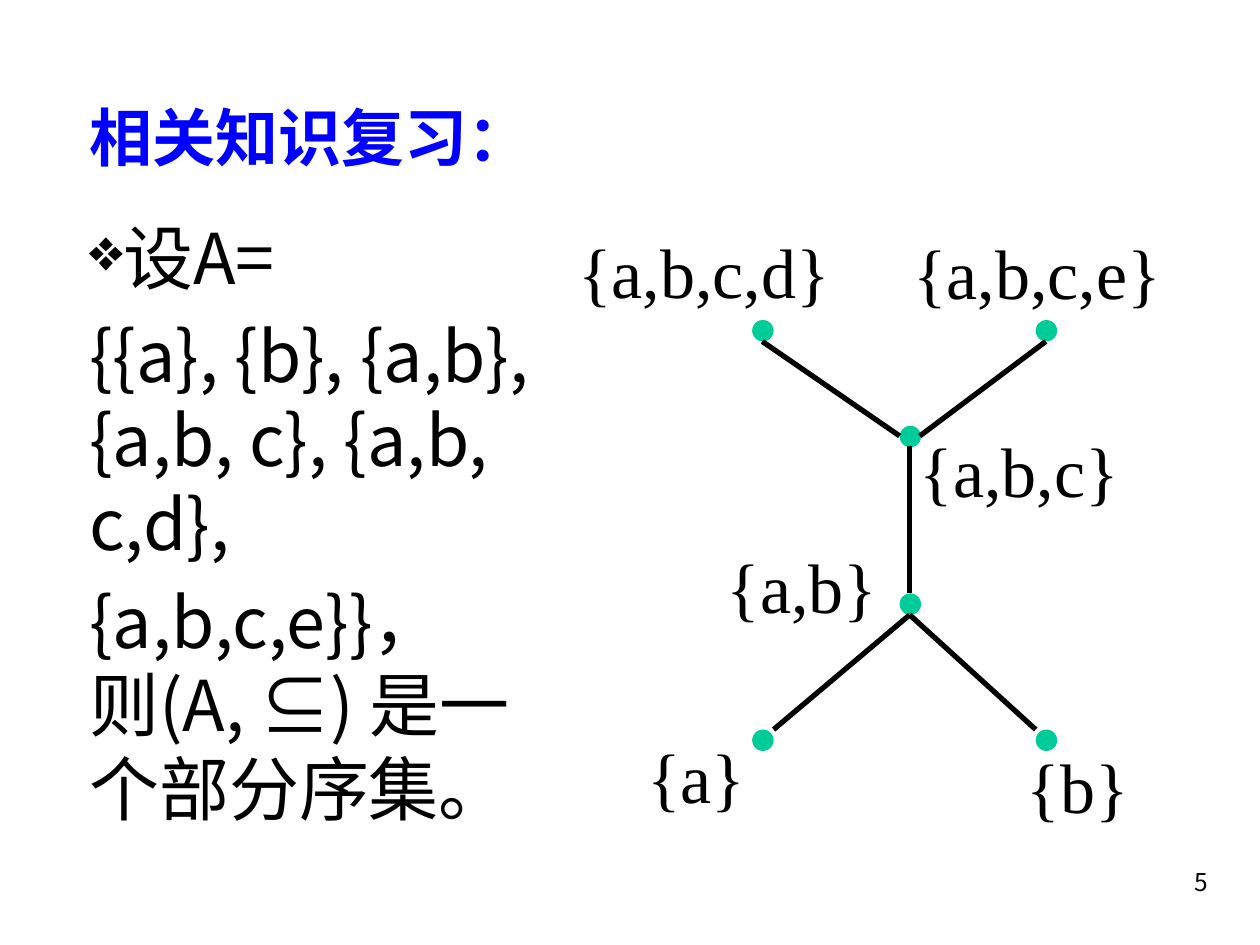
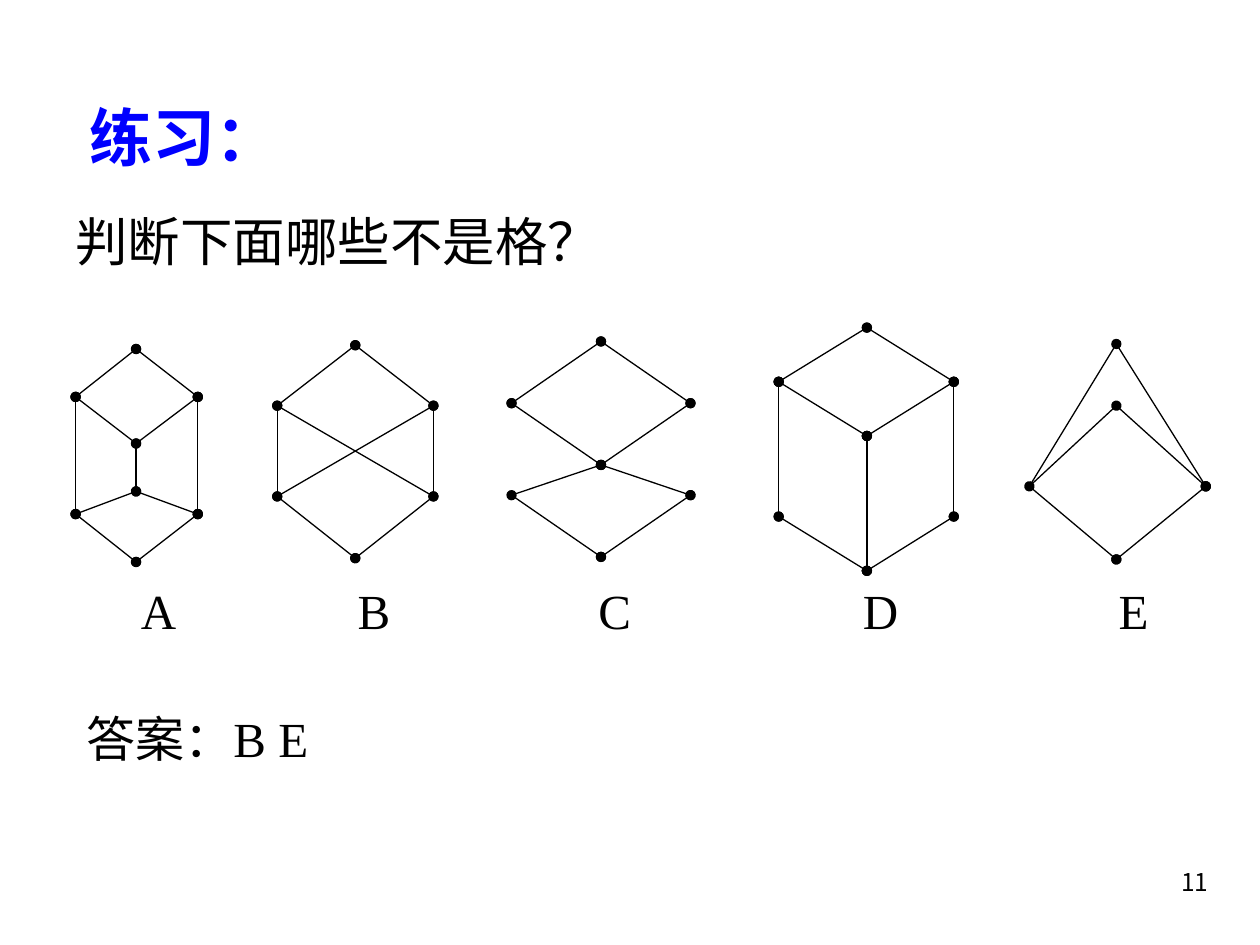
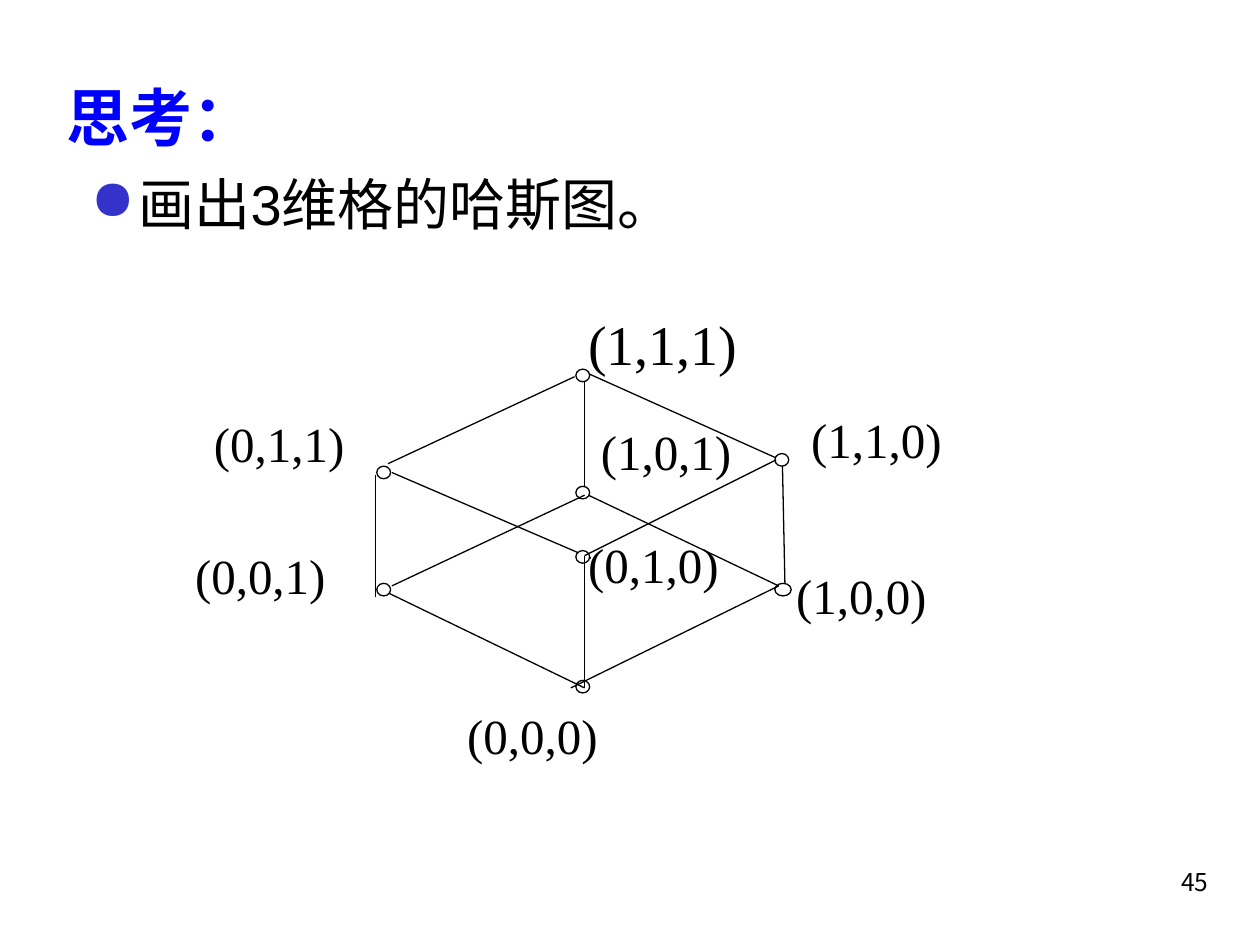
import pptx
import pptx.util
import pptx.dml.color
import pptx.enum.shapes
import pptx.enum.text
import pptx.oxml.ns
from lxml import etree

Inches, Pt = pptx.util.Inches, pptx.util.Pt
RGBColor = pptx.dml.color.RGBColor
qn = pptx.oxml.ns.qn
ALIGN = pptx.enum.text.PP_ALIGN
ANCHOR = pptx.enum.text.MSO_ANCHOR

# Shared look
BLACK = RGBColor(0x00, 0x00, 0x00)
WHITE = RGBColor(0xFF, 0xFF, 0xFF)
TITLE_BLUE = RGBColor(0x00, 0x00, 0xFF)
BULLET_BLUE = RGBColor(0x33, 0x33, 0xCC)
NODE_GREEN = RGBColor(0x00, 0xCC, 0x99)
CJK, SERIF = "Noto Sans CJK SC", "Times New Roman"
TITLE_BOX = (0.61, 0.68, 8.77, 0.72)
NUMBER_BOX = (7.61, 6.83, 2.08, 0.5)

# Slide 1: subsets ordered by inclusion
SUBSET_DOT = 0.17
SUBSET_DOTS = [(7.14, 3.38), (7.14, 4.71), (5.97, 2.54),
               (8.22, 2.54), (5.97, 5.79), (8.22, 5.79)]
SUBSET_EDGES = [(7.22, 3.54, 7.22, 4.71), (6.05, 2.71, 7.14, 3.46),
                (8.3, 2.71, 7.3, 3.46), (7.22, 4.88, 6.14, 5.79),
                (7.22, 4.88, 8.22, 5.79)]
SUBSET_LABELS = [("{a}", 5.04, 5.64, 1.01), ("{b}", 8.05, 5.72, 1.05),
                 ("{a,b}", 5.67, 4.13, 1.46), ("{a,b,c}", 7.2, 3.21, 1.85),
                 ("{a,b,c,d}", 4.49, 1.63, 2.3), ("{a,b,c,e}", 7.15, 1.64, 2.23)]

# Slide 2: vertices, dotted edges and plain edges of each candidate lattice
LATTICES = [
    # A
    (dict(t=(1.08, 2.77), l=(0.6, 3.15), r=(1.57, 3.15), m=(1.08, 3.52),
          n=(1.08, 3.9), p=(0.6, 4.08), q=(1.57, 4.08), b=(1.08, 4.46)),
     "tl tr lm lp rq rm pn qn pb qb", "mn"),
    # B
    (dict(t=(2.82, 2.74), l=(2.2, 3.22), r=(3.44, 3.22),
          p=(2.2, 3.94), q=(3.44, 3.94), b=(2.82, 4.43)),
     "tl tr lp rq pb qb", "lq pr"),
    # C
    (dict(t=(4.77, 2.71), l=(4.06, 3.2), r=(5.48, 3.2), m=(4.77, 3.69),
          p=(4.06, 3.93), q=(5.48, 3.93), b=(4.77, 4.42)),
     "tl tr pb qb mq mr ml", "pm"),
    # D
    (dict(t=(6.88, 2.6), l=(6.18, 3.03), r=(7.57, 3.03), m=(6.88, 3.46),
          p=(6.18, 4.1), q=(7.57, 4.1), b=(6.88, 4.53)),
     "tl tr lp mb rq lm rm pb qb", ""),
    # E
    (dict(t=(8.86, 2.73), m=(8.86, 3.22), l=(8.17, 3.86),
          r=(9.57, 3.86), b=(8.86, 4.44)),
     "tr lb rb mr", "lt ml"),
]
LETTER_TABS = [0.52, 2.24, 4.15, 6.25, 8.28]

# Slide 3: the cube of binary triples
CUBE_BACK_EDGES = [(4.64, 3.02, 4.64, 3.88), (3.11, 3.75, 4.69, 4.43),
                   (6.21, 3.69, 6.23, 4.65)]
CUBE_FRONT_EDGES = [(2.98, 3.77, 2.98, 4.74), (3.09, 4.71, 4.64, 5.46),
                    (4.64, 4.41, 4.64, 5.46), (6.18, 4.65, 4.53, 5.46),
                    (4.56, 2.99, 3.08, 3.68), (4.68, 2.97, 6.15, 3.63),
                    (6.16, 3.65, 4.64, 4.41), (4.64, 3.93, 3.11, 4.65),
                    (4.67, 3.93, 6.18, 4.65)]
CUBE_NODES = [(4.57, 2.93, 0.11), (2.99, 3.7, 0.11), (2.99, 4.63, 0.11),
              (4.57, 5.4, 0.11), (4.57, 3.86, 0.11), (6.15, 3.6, 0.11),
              (4.57, 4.37, 0.11), (6.15, 4.63, 0.13)]
CUBE_LABELS = [("(0,1,0)", 4.57, 4.19, 28), ("(1,0,1)", 4.67, 3.3, 28),
               ("(1,1,1)", 4.57, 2.41, 32), ("(0,1,1)", 1.6, 3.23, 28),
               ("(1,1,0)", 6.34, 3.2, 28), ("(0,0,1)", 1.45, 4.28, 28),
               ("(0,0,0)", 3.61, 5.55, 28), ("(1,0,0)", 6.22, 4.44, 28)]


def inches(values):
    return [Inches(value) for value in values]


def write(paragraph, text, size, font=SERIF, color=BLACK, bold=False, **layout):
    """Fill a paragraph; layout holds paragraph attributes."""
    paragraph.text = text
    for name, value in layout.items():
        setattr(paragraph, name, value)
    for run in paragraph.runs:
        for name, value in dict(name=font, size=Pt(size), bold=bold).items():
            setattr(run.font, name, value)
        run.font.color.rgb = color
        latin = run.font._element.find(qn("a:latin"))
        latin.addnext(latin.makeelement(qn("a:ea"), {"typeface": CJK}))


def add_text(slide, box, wrap=True):
    frame = slide.shapes.add_textbox(*inches(box)).text_frame
    frame.word_wrap = wrap
    return frame


def add_bullet(paragraph, char, color, percent=100, indent=0.0):
    props = paragraph._p.get_or_add_pPr()
    props.set("marL", str(Inches(indent)))
    props.set("indent", str(-Inches(indent)))
    tint = etree.SubElement(props, qn("a:buClr"))
    etree.SubElement(tint, qn("a:srgbClr"), val=str(color))
    etree.SubElement(props, qn("a:buSzPct"), val=str(percent * 1000))
    etree.SubElement(props, qn("a:buChar"), char=char)


def add_tabs(paragraph, stops):
    tabs = etree.SubElement(paragraph._p.get_or_add_pPr(), qn("a:tabLst"))
    for stop in stops:
        etree.SubElement(tabs, qn("a:tab"), pos=str(Inches(stop)), algn="l")


def add_edge(slide, ends, width=0.75, dotted=False):
    edge = slide.shapes.add_connector(
        pptx.enum.shapes.MSO_CONNECTOR.STRAIGHT, *inches(ends))
    edge.line.color.rgb = BLACK
    edge.line.width = Pt(width)
    if dotted:
        line = edge.line._get_or_add_ln()
        for end in ("a:headEnd", "a:tailEnd"):
            etree.SubElement(line, qn(end), type="oval")
    etree.SubElement(edge._element.spPr, qn("a:effectLst"))


def add_node(slide, box, fill, outlined=False):
    node = slide.shapes.add_shape(
        pptx.enum.shapes.MSO_SHAPE.OVAL, *inches(box))
    node.shadow.inherit = False
    node.fill.solid()
    node.fill.fore_color.rgb = fill
    if outlined:
        node.line.color.rgb = BLACK
        node.line.width = Pt(0.75)
    else:
        node.line.fill.background()


def add_slide(deck, title, number, title_font=SERIF, title_box=TITLE_BOX,
              line_spacing=1.14):
    slide = deck.slides.add_slide(deck.slide_layouts[5])
    heading = slide.shapes.title
    for name, value in zip(("left", "top", "width", "height"), inches(title_box)):
        setattr(heading, name, value)
    heading.text_frame.vertical_anchor = ANCHOR.MIDDLE
    write(heading.text_frame.paragraphs[0], title, 36, title_font, TITLE_BLUE,
          True, alignment=ALIGN.LEFT, line_spacing=line_spacing)
    write(add_text(slide, NUMBER_BOX).paragraphs[0], str(number), 14,
          "Noto Sans CJK KR", alignment=ALIGN.RIGHT)
    return slide


def build_review(deck):
    slide = add_slide(deck, "相关知识复习：", 5, CJK)
    body = add_text(slide, (0.61, 1.65, 3.92, 5.09))
    first = body.paragraphs[0]
    add_bullet(first, "❖", BLACK, 85)
    write(first, "设A=", 40, CJK)
    for text in ("{{a}, {b}, {a,b}, {a,b, c}, {a,b, c,d},",
                 "{a,b,c,e}}， \v则(A, ⊆) 是一个部分序集。"):
        write(body.add_paragraph(), text, 40, CJK, space_before=Pt(8))

    for left, top in SUBSET_DOTS:
        add_node(slide, (left, top, SUBSET_DOT, SUBSET_DOT), NODE_GREEN)
    for ends in SUBSET_EDGES:
        add_edge(slide, ends, 3)
    for text, left, top, width in SUBSET_LABELS:
        label = add_text(slide, (left, top, width, 0.9), wrap=False)
        write(label.paragraphs[0], text, 40, line_spacing=1.2)


def build_exercise(deck):
    slide = add_slide(deck, "练习：", 11)
    body = add_text(slide, (0.5, 1.61, 9.26, 4.98))
    write(body.paragraphs[0], "判断下面哪些不是格？", 30, CJK)
    letters = body.add_paragraph()
    add_tabs(letters, LETTER_TABS)
    write(letters, "".join("\t" + letter for letter in "ABCDE"), 28,
          space_before=Pt(176))
    answer = body.add_paragraph()
    answer._p.get_or_add_pPr().set("marL", str(Inches(0.09)))
    write(answer, "答案：B E", 28, space_before=Pt(40))

    for vertices, dotted_edges, plain_edges in LATTICES:
        for edges, dotted in ((dotted_edges, True), (plain_edges, False)):
            for start, end in edges.split():
                add_edge(slide, vertices[start] + vertices[end], dotted=dotted)


def build_cube(deck):
    slide = add_slide(deck, "思考：", 45, title_box=(0.43, 0.52, 8.5, 0.8),
                      line_spacing=1.0)
    task = add_text(slide, (0.62, 1.3, 9.08, 5)).paragraphs[0]
    add_bullet(task, "●", BULLET_BLUE, indent=0.38)
    write(task, "画出3维格的哈斯图。", 32, "Arial")

    for ends in CUBE_BACK_EDGES:
        add_edge(slide, ends)
    for text, left, top, size in CUBE_LABELS:
        label = add_text(slide, (left, top, 2.0, 0.84))
        write(label.paragraphs[0], text, size, alignment=ALIGN.JUSTIFY)
    for left, top, width in CUBE_NODES:
        add_node(slide, (left, top, width, 0.1), WHITE, outlined=True)
    for ends in CUBE_FRONT_EDGES:
        add_edge(slide, ends)


def main():
    deck = pptx.Presentation()
    deck.slide_width, deck.slide_height = Inches(10), Inches(7.5)
    build_review(deck)
    build_exercise(deck)
    build_cube(deck)
    deck.save("out.pptx")


if __name__ == "__main__":
    main()
